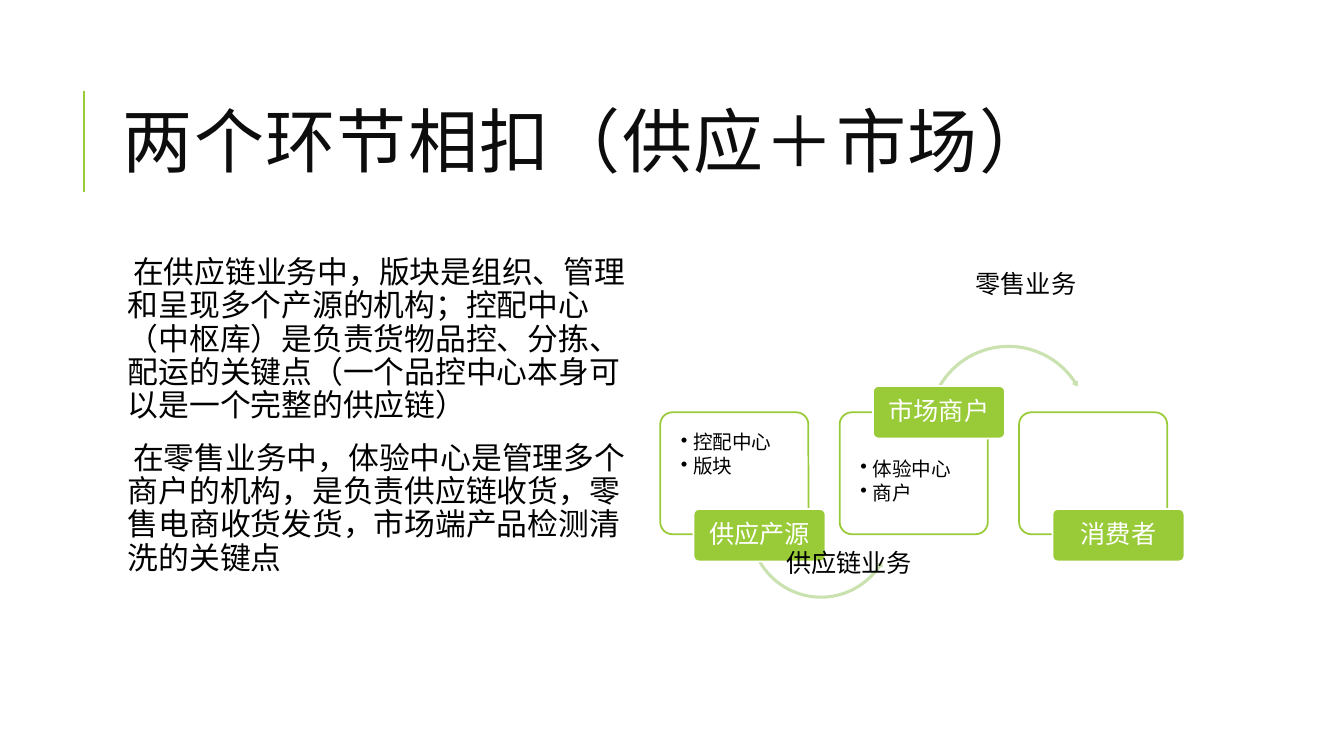
from pptx import Presentation
from pptx.dml.color import RGBColor
from pptx.enum.shapes import MSO_CONNECTOR, MSO_SHAPE
from pptx.enum.text import MSO_ANCHOR, PP_ALIGN
from pptx.oxml.ns import qn
from pptx.util import Inches, Pt
from lxml.etree import SubElement

CELL = Inches(0.1)
GREEN, PALE_GREEN, WHITE, BLACK = "99CB38", "CAE2AF", "FFFFFF", "000000"
CHINESE_FONT = "Noto Sans CJK SC"
TILE_LEFT, TILE_TOP, TILE_STEP = 65.5, 40.9, 17.8
TILE_SIZE, LABEL_SIZE = (14.7, 12.1), (13.1, 5.2)
LABEL_SHIFT, LABEL_LOW, LABEL_HIGH = 3.3, 50.5, 38.3

STAGES = [
    ("供应产源", ["控配中心", "版块"], LABEL_LOW),
    ("市场商户", ["体验中心", "商户"], LABEL_HIGH),
    ("消费者", [], LABEL_LOW),
]
ARROWS = [
    (MSO_SHAPE.LEFT_CIRCULAR_ARROW, (74.1, 44.9, 14.7, 14.7),
     (0.021, 2.517, 20.272, 90.245, 0.024)),
    (MSO_SHAPE.CIRCULAR_ARROW, (91.8, 34, 16.5, 16.5),
     (0.019, 2.219, 196.026, 125.755, 0.022)),
]
BODY = [
    "在供应链业务中，版块是组织、管理和呈现多个产源的机构；控配中心（中枢库）是负责货物品控、分拣、配运的关键点（一个品控中心本身可以是一个完整的供应链）",
    "在零售业务中，体验中心是管理多个商户的机构，是负责供应链收货，零售电商收货发货，市场端产品检测清洗的关键点",
]


def color(value):
    return RGBColor.from_string(value)


def cells(*counts):
    return [round(CELL * count) for count in counts]


def set_frame(frame, insets, anchor=MSO_ANCHOR.TOP, wrap=True):
    frame.word_wrap = wrap
    frame.vertical_anchor = anchor
    (frame.margin_left, frame.margin_top,
     frame.margin_right, frame.margin_bottom) = cells(*insets)


def write(frame, lines, size, tint=BLACK, font=CHINESE_FONT, align=PP_ALIGN.LEFT,
          line_spacing=0.9, before=0, after=0):
    frame.text = "\n".join(lines)
    for para in frame.paragraphs:
        para.alignment = align
        para.line_spacing = line_spacing
        para.space_before, para.space_after = Pt(before), Pt(after)
        for span in para.runs:
            span.font.size, span.font.name = Pt(size), font
            span.font.color.rgb = color(tint)
            SubElement(span.font._element, qn("a:ea"), typeface=CHINESE_FONT)


def add_bullets(frame, symbol, indent, tint):
    for para in frame.paragraphs:
        properties = para._p.get_or_add_pPr()
        properties.set("marL", str(Inches(indent)))
        properties.set("indent", str(-Inches(indent)))
        bullet_color = SubElement(properties, qn("a:buClr"))
        SubElement(bullet_color, qn("a:srgbClr"), val=tint)
        SubElement(properties, qn("a:buChar"), char=symbol)


def add_text(page, place, insets, anchor=MSO_ANCHOR.TOP, wrap=True):
    frame = page.shapes.add_textbox(*cells(*place)).text_frame
    set_frame(frame, insets, anchor, wrap)
    return frame


def add_block(page, kind, place, fill, line=None, adjustments=(0.1,)):
    block = page.shapes.add_shape(kind, *cells(*place))
    block.shadow.inherit = False
    block.fill.solid()
    block.fill.fore_color.rgb = color(fill)
    if line:
        block.line.color.rgb = color(line)
        block.line.width = Pt(1.25)
    else:
        block.line.fill.background()
    for index, value in enumerate(adjustments):
        block.adjustments[index] = value
    return block


def add_stage(page, index, name, members, label_top):
    left = TILE_LEFT + index * TILE_STEP
    tile = add_block(page, MSO_SHAPE.ROUNDED_RECTANGLE,
                     (left, TILE_TOP, *TILE_SIZE), WHITE, GREEN)
    tile_color = tile.fill._xPr.find(".//" + qn("a:srgbClr"))
    SubElement(tile_color, qn("a:alpha"), val="90000")
    if members:
        top_inset = 4.3 if label_top == LABEL_HIGH else 1.7
        set_frame(tile.text_frame, (1.7, top_inset, 1.7, 1.4))
        write(tile.text_frame, members, 14, after=2)
        add_bullets(tile.text_frame, "•", 0.12, BLACK)
    if index < len(ARROWS):
        kind, place, adjustments = ARROWS[index]
        add_block(page, kind, place, PALE_GREEN, adjustments=adjustments)
    label = add_block(page, MSO_SHAPE.ROUNDED_RECTANGLE,
                      (left + LABEL_SHIFT, label_top, *LABEL_SIZE), GREEN, WHITE)
    set_frame(label.text_frame, (0.5, 0.4, 0.5, 0.4), MSO_ANCHOR.MIDDLE)
    write(label.text_frame, [name], 18, WHITE, align=PP_ALIGN.CENTER)


def add_title(page, text):
    rule = page.shapes.add_connector(MSO_CONNECTOR.STRAIGHT, *cells(8.3, 19, 8.3, 9))
    rule.line.color.rgb = color(GREEN)
    rule.line.width = Pt(1.5)
    SubElement(rule._element.spPr, qn("a:effectLst"))
    frame = add_text(page, (11.2, 6.4, 106.3, 16.4), (1, 0.5, 1, 0.5), MSO_ANCHOR.MIDDLE)
    write(frame, [text], 50, "0D0D0D", "Calibri", line_spacing=0.8)
    frame.paragraphs[0].runs[0].font._element.set("spc", "100")


def add_body(page, lines):
    frame = add_text(page, (11.2, 25, 52, 44), (0.5, 0.5, 0.5, 0.5))
    write(frame, lines, 22, font="Cabin", before=12, after=2)
    add_bullets(frame, " ", 0.1, GREEN)


def add_caption(page, text, place):
    frame = add_text(page, place, (1, 0.5, 1, 0.5), wrap=False)
    write(frame, [text], 18, line_spacing=1.0)


def main():
    deck = Presentation()
    deck.slide_width, deck.slide_height = cells(133.33, 75)
    page = deck.slides.add_slide(deck.slide_layouts[6])
    add_title(page, "两个环节相扣（供应＋市场）")
    add_body(page, BODY)
    for index, stage in enumerate(STAGES):
        add_stage(page, index, *stage)
    add_caption(page, "供应链业务", (77, 53.8, 16.2, 4))
    add_caption(page, "零售业务", (95.8, 26.1, 12.9, 4))
    deck.save("out.pptx")


if __name__ == "__main__":
    main()
